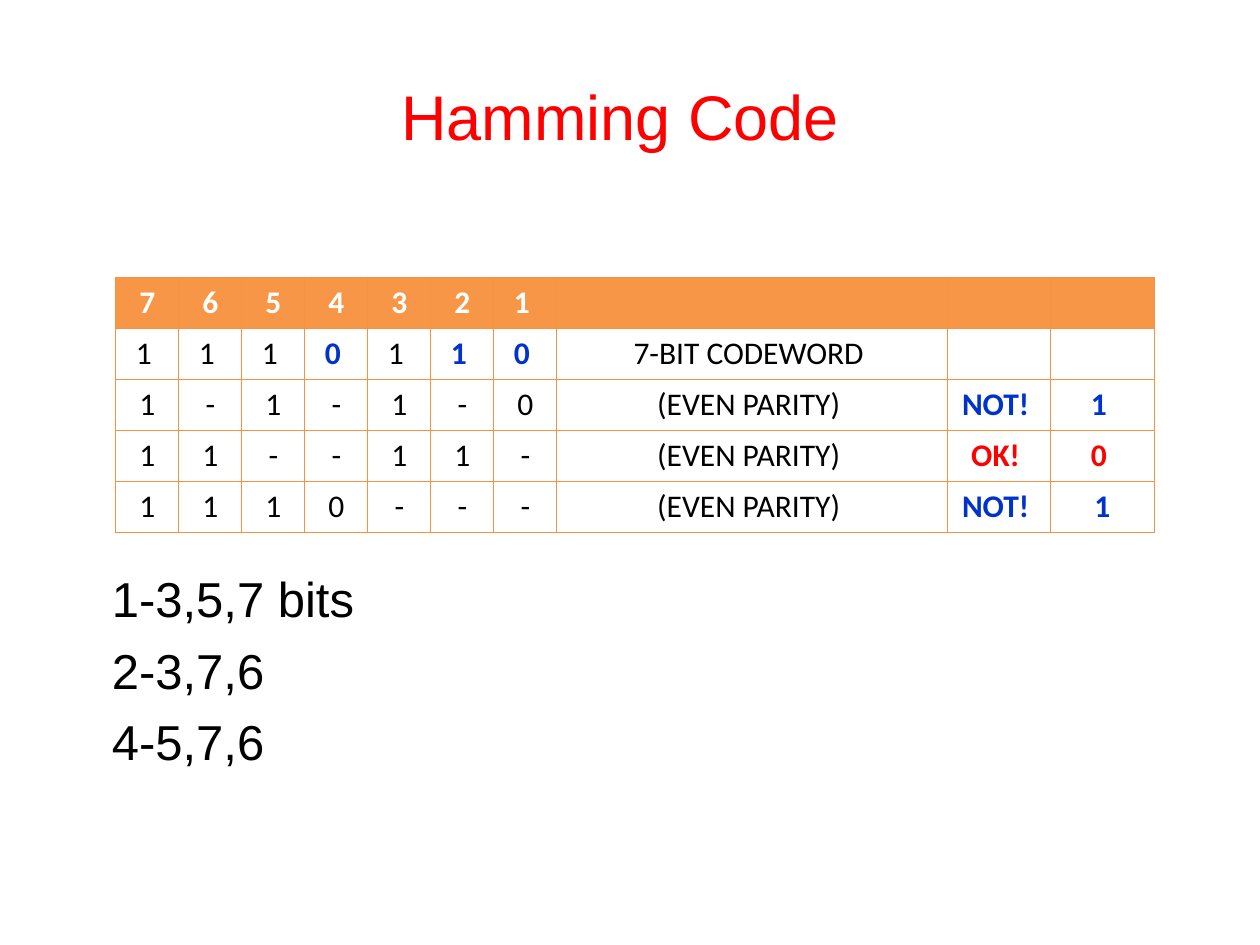
"""Build a slide showing a Hamming code parity check table."""
from dataclasses import dataclass

from lxml import etree
from pptx import Presentation
from pptx.dml.color import RGBColor
from pptx.enum.text import MSO_ANCHOR, PP_ALIGN
from pptx.oxml.ns import qn
from pptx.util import Pt

CENTER, LEFT = PP_ALIGN.CENTER, PP_ALIGN.LEFT
MIDDLE, TOP = MSO_ANCHOR.MIDDLE, MSO_ANCHOR.TOP
TITLE_ONLY = 5
COLORS = {
    "red": "FF0000", "blue": "0033CC", "black": "000000",
    "white": "FFFFFF", "header": "F79646", "border": "F69240",
}
COLUMN_WIDTHS = [36] * 7 + [223.2, 59.04, 59.04]
ROW_HEIGHT = 28.8
BORDER_WIDTH = 0.75
LINE_GAP = 7.2


@dataclass(frozen=True)
class Style:
    """Character format of a text."""
    color: str
    size: float = 18
    bold: bool = False
    font: str = "Calibri"


@dataclass(frozen=True)
class Entry:
    """Text of one table cell with its style."""
    text: str
    style: Style


@dataclass(frozen=True)
class ParityCheck:
    """Bits covered by one check, its verdict and its syndrome bit."""
    bits: str
    verdict: str
    syndrome: str
    style: Style


HEADER = Style("white", bold=True)
PLAIN = Style("black")
PARITY = Style("blue", bold=True)
PASSED = Style("red", bold=True)
HEADING = Style("red", size=36, font="Arial")
NOTE = Style("black", size=28, font="Arial")

POSITIONS = ["7", "6", "5", "4", "3", "2", "1 "]
CODEWORD = "1110110"
PARITY_POSITIONS = (4, 2, 1)
CHECKS = [
    ParityCheck("1-1-1-0", "NOT! ", "1 ", PARITY),
    ParityCheck("11--11-", "OK! ", "0 ", PASSED),
    ParityCheck("1110---", "NOT! ", "1", PARITY),
]
COVERAGE = ["1-3,5,7 bits", "2-3,7,6", "4-5,7,6"]


def write(paragraph, text: str, style: Style, alignment) -> None:
    """Add one styled run to a paragraph."""
    paragraph.alignment = alignment
    run = paragraph.add_run()
    run.text = text
    values = {"name": style.font, "size": Pt(style.size), "bold": style.bold}
    for attribute, value in values.items():
        setattr(run.font, attribute, value)
    run.font.color.rgb = RGBColor.from_string(COLORS[style.color])


def set_frame(frame, anchor) -> None:
    """Apply wrapping, insets and anchor to a text frame."""
    values = {
        "word_wrap": True, "vertical_anchor": anchor,
        "margin_left": Pt(7.2), "margin_right": Pt(7.2),
        "margin_top": Pt(3.6), "margin_bottom": Pt(3.6),
    }
    for attribute, value in values.items():
        setattr(frame, attribute, value)


def set_borders(cell) -> None:
    """Draw a line on each side of a cell."""
    properties = cell._tc.get_or_add_tcPr()
    for side in ("a:lnL", "a:lnR", "a:lnT", "a:lnB"):
        line = etree.SubElement(properties, qn(side), w=str(Pt(BORDER_WIDTH)))
        fill = etree.SubElement(line, qn("a:solidFill"))
        etree.SubElement(fill, qn("a:srgbClr"), val=COLORS["border"])


def table_rows() -> list[list[Entry]]:
    """Return the entries of the header, codeword and check rows."""
    blank = Entry("", PLAIN)
    header = [Entry(position, HEADER) for position in POSITIONS] + [blank] * 3
    codeword = [
        Entry(f"{bit} ", PARITY if 7 - index in PARITY_POSITIONS else PLAIN)
        for index, bit in enumerate(CODEWORD)
    ] + [Entry("7-BIT CODEWORD ", PLAIN), blank, blank]
    checks = [
        [Entry(bit, PLAIN) for bit in check.bits]
        + [Entry("(EVEN PARITY) ", PLAIN),
           Entry(check.verdict, check.style),
           Entry(check.syndrome, check.style)]
        for check in CHECKS
    ]
    return [header, codeword, *checks]


def draw_title(slide) -> None:
    """Place and fill the title placeholder."""
    title = slide.shapes.title
    bounds = {"left": 30.24, "top": 23.76, "width": 648, "height": 84.24}
    for attribute, value in bounds.items():
        setattr(title, attribute, Pt(value))
    set_frame(title.text_frame, MIDDLE)
    write(title.text_frame.paragraphs[0], "Hamming Code", HEADING, CENTER)


def draw_table(slide, rows: list[list[Entry]]) -> None:
    """Draw the parity table."""
    table = slide.shapes.add_table(
        len(rows), len(COLUMN_WIDTHS), Pt(66.24), Pt(158.4),
        Pt(sum(COLUMN_WIDTHS)), Pt(ROW_HEIGHT * len(rows)),
    ).table
    for column, width in zip(table.columns, COLUMN_WIDTHS):
        column.width = Pt(width)
    for row_index, entries in enumerate(rows):
        table.rows[row_index].height = Pt(ROW_HEIGHT)
        for column_index, entry in enumerate(entries):
            cell = table.cell(row_index, column_index)
            cell.vertical_anchor = MIDDLE
            set_borders(cell)
            if row_index == 0:
                cell.fill.solid()
                cell.fill.fore_color.rgb = RGBColor.from_string(COLORS["header"])
            else:
                cell.fill.background()
            if entry.text:
                write(cell.text_frame.paragraphs[0], entry.text, entry.style, CENTER)


def draw_coverage(slide) -> None:
    """List the bits that each parity bit covers."""
    frame = slide.shapes.add_textbox(
        Pt(56.88), Pt(321.4), Pt(637.92), Pt(138.7)
    ).text_frame
    set_frame(frame, TOP)
    for index, text in enumerate(COVERAGE):
        paragraph = frame.add_paragraph() if index else frame.paragraphs[0]
        paragraph.space_before = Pt(LINE_GAP if index else 0)
        write(paragraph, text, NOTE, LEFT)


def main() -> None:
    """Build and save the slide."""
    presentation = Presentation()
    presentation.slide_width, presentation.slide_height = Pt(720), Pt(540)
    slide = presentation.slides.add_slide(presentation.slide_layouts[TITLE_ONLY])
    draw_title(slide)
    draw_table(slide, table_rows())
    draw_coverage(slide)
    presentation.save("out.pptx")


if __name__ == "__main__":
    main()
